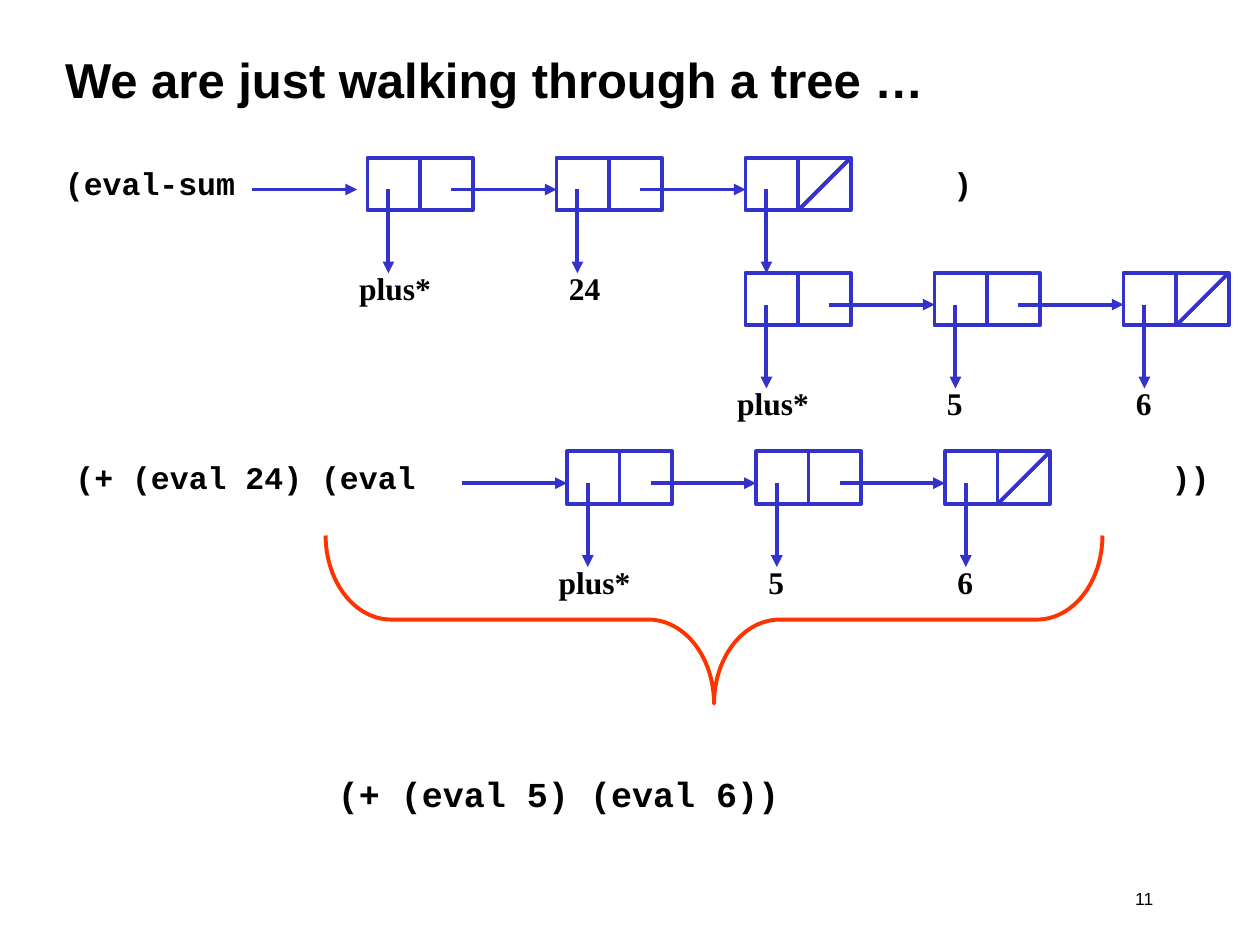
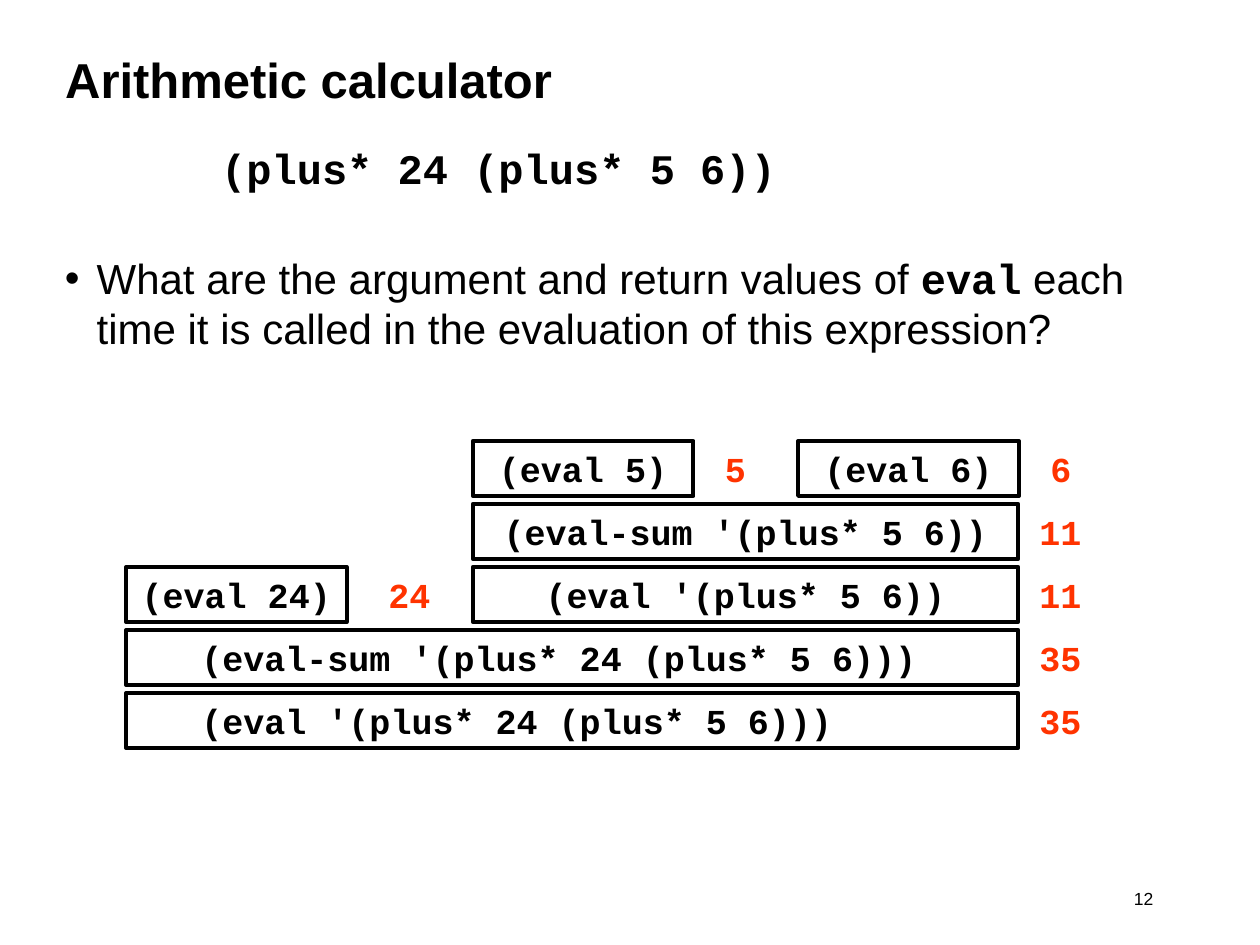
"""Two slides on evaluating nested sums: list diagrams and a stack of eval calls."""
from lxml import etree
from pptx import Presentation
from pptx.dml.color import RGBColor
from pptx.enum.shapes import MSO_CONNECTOR, MSO_SHAPE
from pptx.enum.text import MSO_ANCHOR, PP_ALIGN
from pptx.oxml.ns import qn
from pptx.util import Cm, Pt

LEFT, CENTER, RIGHT = PP_ALIGN.LEFT, PP_ALIGN.CENTER, PP_ALIGN.RIGHT
TOP, MIDDLE = MSO_ANCHOR.TOP, MSO_ANCHOR.MIDDLE
RECT, BRACE = MSO_SHAPE.RECTANGLE, MSO_SHAPE.LEFT_BRACE
STRAIGHT = MSO_CONNECTOR.STRAIGHT

COLORS = {"text": "000000", "list": "3333CC", "accent": "FF3300"}
SANS, MONO, SERIF = "Arial", "Courier New", "Times New Roman"

TREE_TITLE = "We are just walking through a tree …"
CALC_TITLE = "Arithmetic calculator"

# left, top, start of the incoming arrow, its end, labels under the cells
LISTS = [
    (7.41, 3.18, 5.08, 7.2, ["plus*", "24", None]),
    (15.03, 5.5, None, None, ["plus*", "5", "6"]),
    (11.43, 9.1, 9.31, 11.43, ["plus*", "5", "6"]),
]
# left, top, width, text, tab stop, size
CODE_LINES = [
    (1.06, 3.18, 19.26, "(eval-sum\t)", 17.91, 18),
    (1.27, 9.1, 23.5, "(+ (eval 24) (eval\t))", 22.1, 18),
    (6.56, 15.45, 17.99, "(+ (eval 5) (eval 6))", None, 20),
]
EXPRESSION = "(plus* 24 (plus* 5 6))"
QUESTION = [
    ("What are the argument and return values of ", SANS, False),
    ("eval", MONO, True),
    (" each time it is called in the evaluation of this expression?", SANS, False),
]
# row, left, width, call, value, gap before the value, indented
CALLS = [
    (0, 9.53, 4.45, "(eval 5)", "5", 0, False),
    (0, 16.09, 4.45, "(eval 6)", "6", 0, False),
    (1, 9.53, 11.0, "(eval-sum '(plus* 5 6))", "11", 0, False),
    (2, 2.54, 4.45, "(eval 24)", "24", 0.42, False),
    (2, 9.53, 11.0, "(eval '(plus* 5 6))", "11", 0, False),
    (3, 2.54, 17.99, "(eval-sum '(plus* 24 (plus* 5 6)))", "35", 0, True),
    (4, 2.54, 17.99, "(eval '(plus* 24 (plus* 5 6)))", "35", 0, True),
]
CELL, PITCH = 1.06, 3.81
STACK_TOP, ROW_PITCH, ROW_HEIGHT, VALUE_WIDTH = 8.89, 1.27, 1.11, 1.69


def rgb(name):
    return RGBColor.from_string(COLORS[name])


def write(p, text, font=MONO, size=20, color="text", bold=True, align=LEFT):
    p.alignment = align
    runs = [(text, font, bold)] if isinstance(text, str) else text
    for words, name, heavy in runs:
        r = p.add_run()
        r.text = words
        r.font.name, r.font.size, r.font.bold = name, Pt(size), heavy
        r.font.color.rgb = rgb(color)


def set_frame(tf, anchor=TOP):
    tf.word_wrap = True
    tf.vertical_anchor = anchor
    return tf.paragraphs[0]


def add_text(slide, x, y, w, h, text, **fmt):
    sp = slide.shapes.add_textbox(Cm(x), Cm(y), Cm(w), Cm(h))
    p = set_frame(sp.text_frame)
    write(p, text, **fmt)
    return p


def set_tab(p, position):
    tabs = etree.SubElement(p._p.get_or_add_pPr(), qn("a:tabLst"))
    etree.SubElement(tabs, qn("a:tab"), pos=str(Cm(position)), algn="l")


def set_indent(p, margin, indent=0, bullet=None):
    pPr = p._p.get_or_add_pPr()
    pPr.set("marL", str(Cm(margin)))
    pPr.set("indent", str(Cm(indent)))
    if bullet:
        etree.SubElement(pPr, qn("a:buFont"), typeface=SANS)
        etree.SubElement(pPr, qn("a:buChar"), char=bullet)


def add_outline(slide, kind, x, y, w, h, color):
    sp = slide.shapes.add_shape(kind, Cm(x), Cm(y), Cm(w), Cm(h))
    sp.shadow.inherit = False
    sp.fill.background()
    sp.line.color.rgb = rgb(color)
    sp.line.width = Pt(2.25)
    return sp


def add_line(slide, x1, y1, x2, y2, arrow=True):
    cn = slide.shapes.add_connector(STRAIGHT, Cm(x1), Cm(y1), Cm(x2), Cm(y2))
    cn.line.color.rgb = rgb("list")
    cn.line.width = Pt(2.25)
    spPr = cn._element.spPr
    if arrow:
        etree.SubElement(spPr.find(qn("a:ln")), qn("a:tailEnd"), type="triangle")
    etree.SubElement(spPr, qn("a:effectLst"))


def add_slide(prs, title, number):
    slide = prs.slides.add_slide(prs.slide_layouts[5])
    sp = slide.shapes.title
    sp.left, sp.top, sp.width, sp.height = Cm(1.06), Cm(0.42), Cm(21.59), Cm(2.33)
    write(set_frame(sp.text_frame, MIDDLE), title, font=SANS, size=28)
    add_text(slide, 17.36, 17.78, 6.14, 0.85, number,
             font=SANS, size=10, bold=False, align=RIGHT)
    return slide


def draw_list(slide, left, top, start, end, labels):
    mid = top + 0.64
    if start is not None:
        add_line(slide, start, mid, end, mid)
    for i, label in enumerate(labels):
        x = left + i * PITCH
        for cell_x in (x, x + CELL):
            add_outline(slide, RECT, cell_x, top, CELL, CELL, "list")
        add_line(slide, x + 0.42, mid, x + 0.42, mid + 1.69)
        if i < len(labels) - 1:
            add_line(slide, x + 1.69, mid, x + PITCH, mid)
        else:
            add_line(slide, x + 2 * CELL, top, x + CELL, top + CELL, arrow=False)
        if label:
            shift, width = (0.42, 3.39) if i == 0 else (0, 1.48)
            add_text(slide, x - shift, top + 2.12, width, 1.02, label,
                     font=SERIF, size=18)


def build_tree(prs):
    slide = add_slide(prs, TREE_TITLE, "11")
    for x, y, w, text, tab, size in CODE_LINES:
        p = add_text(slide, x, y, w, 1.02, text, size=size)
        if tab:
            set_tab(p, tab)
    for row in LISTS:
        draw_list(slide, *row)
    brace = add_outline(slide, BRACE, 12.7, 4.66, 3.39, 15.66, "accent")
    brace.rotation = 270
    brace.adjustments[0] = 0.39


def build_calculator(prs):
    slide = add_slide(prs, CALC_TITLE, "12")
    sp = slide.shapes.add_textbox(Cm(1.06), Cm(2.75), Cm(23.5), Cm(5.69))
    p = set_frame(sp.text_frame)
    write(p, EXPRESSION, size=24)
    p.space_after = Pt(28)
    set_indent(p, 3.15)
    p = sp.text_frame.add_paragraph()
    write(p, QUESTION, size=24)
    p.space_before = Pt(6)
    set_indent(p, 0.64, -0.64, "•")

    for row, x, w, call, value, gap, indented in CALLS:
        y = STACK_TOP + row * ROW_PITCH
        sp = add_outline(slide, RECT, x, y, w, ROW_HEIGHT, "text")
        p = set_frame(sp.text_frame)
        write(p, call, align=LEFT if indented else CENTER)
        if indented:
            set_indent(p, 1.27)
        add_text(slide, x + w + gap, y, VALUE_WIDTH, ROW_HEIGHT, value,
                 color="accent", align=CENTER)


def main():
    prs = Presentation()
    prs.slide_width, prs.slide_height = Cm(25.4), Cm(19.05)
    build_tree(prs)
    build_calculator(prs)
    prs.save("out.pptx")


if __name__ == "__main__":
    main()
